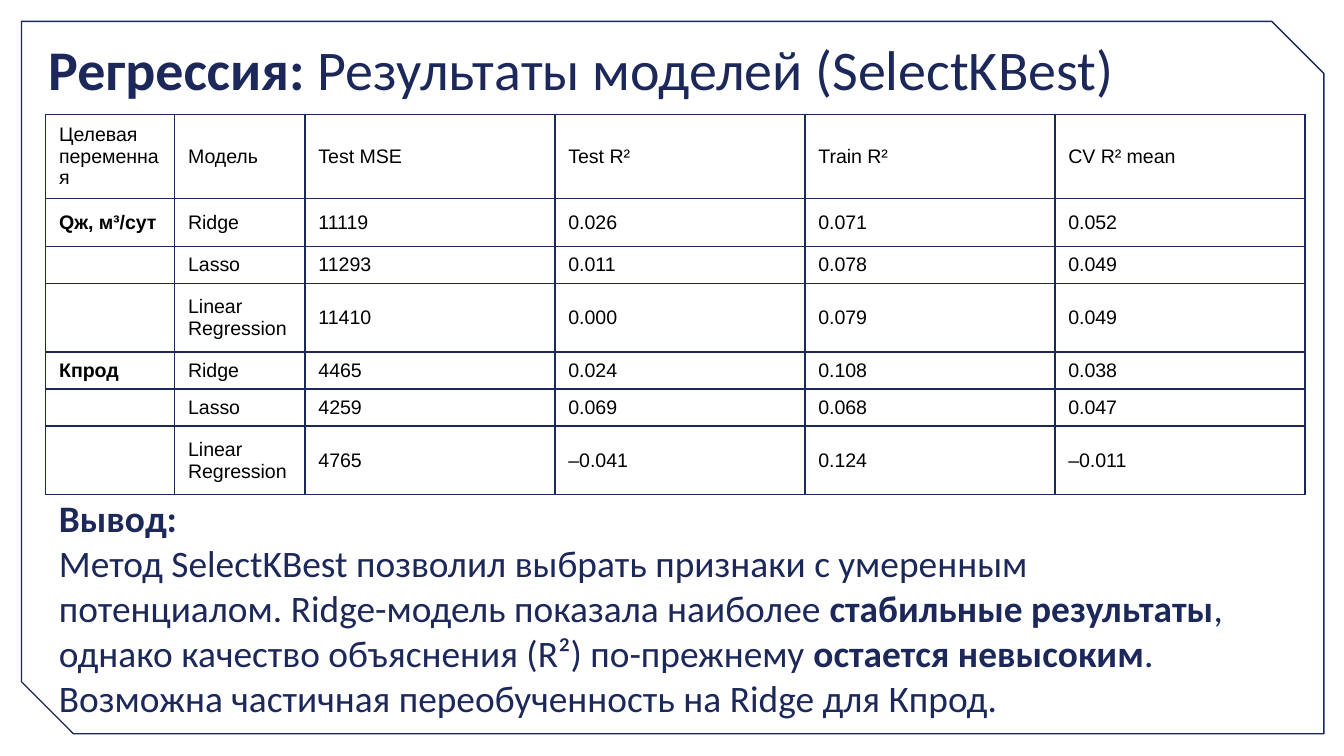
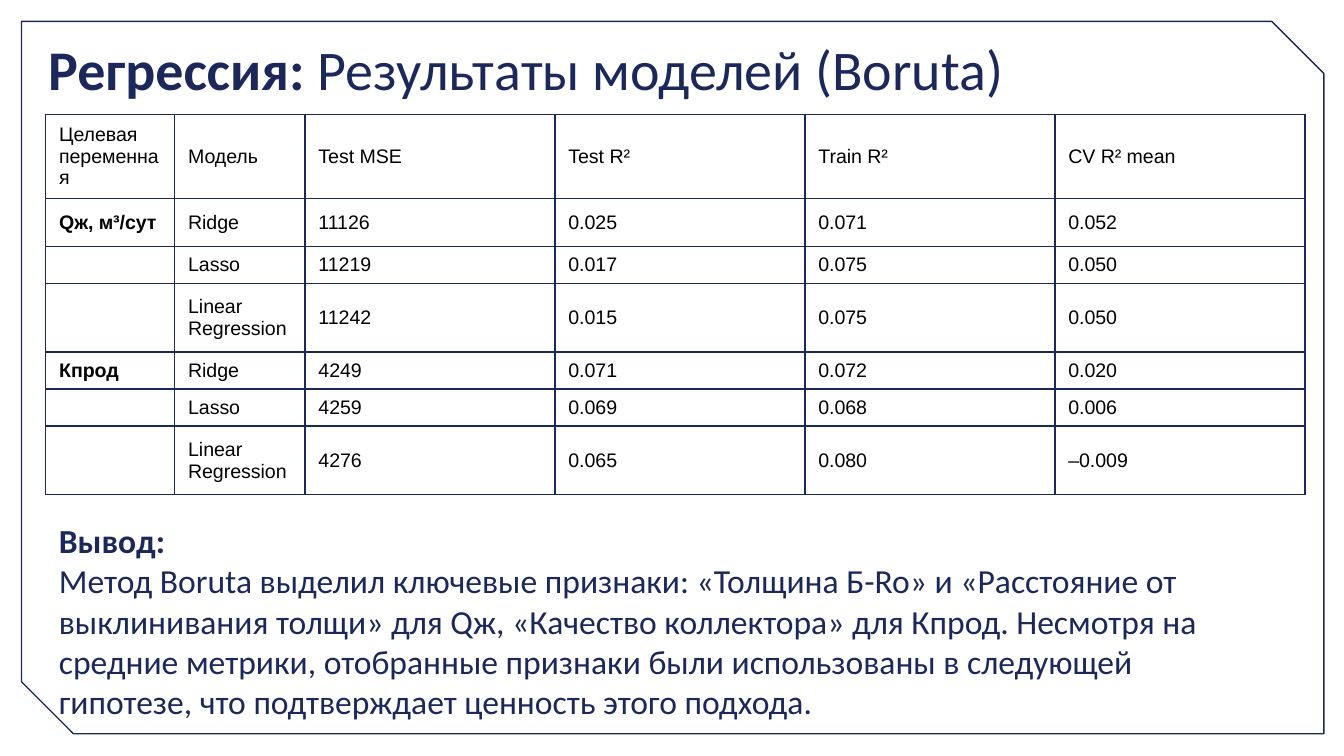
from lxml.etree import SubElement
from pptx import Presentation
from pptx.dml.color import RGBColor
from pptx.enum.shapes import MSO_SHAPE
from pptx.enum.text import MSO_ANCHOR
from pptx.oxml.ns import qn
from pptx.util import Inches, Pt

# Shared style
NAVY = RGBColor(0x1C, 0x28, 0x5A)
BLACK = RGBColor(0x00, 0x00, 0x00)
LINE_WIDTH = Pt(0.75)
CELL_FONT = "Arial"
CELL_SIZE = Pt(10.5)

# Shared table layout and labels
COLUMN_WIDTHS = [0.96, 0.97] + [1.86] * 4
ROW_HEIGHTS = [0.51, 0.36, 0.22, 0.51, 0.22, 0.22, 0.51]
HEADER = ["Целевая переменная", "Модель", "Test MSE", "Test R²", "Train R²", "CV R² mean"]
TARGETS = ["Qж, м³/сут", "Кпрод"]
MODELS = ["Ridge", "Lasso", "Linear Regression"]

# Metrics per slide: one row per target and model
KBEST_METRICS = [
    ["11119", "0.026", "0.071", "0.052"],
    ["11293", "0.011", "0.078", "0.049"],
    ["11410", "0.000", "0.079", "0.049"],
    ["4465", "0.024", "0.108", "0.038"],
    ["4259", "0.069", "0.068", "0.047"],
    ["4765", "–0.041", "0.124", "–0.011"],
]
BORUTA_METRICS = [
    ["11126", "0.025", "0.071", "0.052"],
    ["11219", "0.017", "0.075", "0.050"],
    ["11242", "0.015", "0.075", "0.050"],
    ["4249", "0.071", "0.072", "0.020"],
    ["4259", "0.069", "0.068", "0.006"],
    ["4276", "0.065", "0.080", "–0.009"],
]

# Conclusions: each line is a list of (text, bold) runs
KBEST_CONCLUSION = [
    [("Метод SelectKBest позволил выбрать признаки с умеренным", False)],
    [("потенциалом. Ridge-модель показала наиболее ", False),
     ("стабильные результаты", True), (",", False)],
    [("однако качество объяснения (R²) по-прежнему ", False),
     ("остается невысоким", True), (".", False)],
    [("Возможна частичная переобученность на Ridge для Кпрод.", False)],
]
BORUTA_CONCLUSION = [
    [("Метод Boruta выделил ключевые признаки: «Толщина Б-Ro» и «Расстояние от", False)],
    [("выклинивания толщи» для Qж, «Качество коллектора» для Кпрод. Несмотря на", False)],
    [("средние метрики, отобранные признаки были использованы в следующей", False)],
    [("гипотезе, что подтверждает ценность этого подхода.", False)],
]


def set_font(font, name, size, color):
    font.name, font.size = name, size
    font.color.rgb = color


def add_frame(slide):
    frame = slide.shapes.add_shape(MSO_SHAPE.SNIP_2_DIAG_RECTANGLE, Inches(0.16),
                                   Inches(0.16), Inches(9.69), Inches(5.3))
    frame.adjustments[0], frame.adjustments[1] = 0, 0.073
    frame.shadow.inherit = False
    frame.fill.background()
    frame.line.color.rgb = NAVY
    frame.line.width = LINE_WIDTH


def add_text(slide, left, top, width, height, lines, size, anchor, hanging=False):
    box = slide.shapes.add_textbox(Inches(left), Inches(top), Inches(width), Inches(height))
    frame = box.text_frame
    frame.word_wrap = True
    frame.vertical_anchor = anchor
    frame.margin_left = frame.margin_right = Inches(0.1)
    frame.margin_top = frame.margin_bottom = Inches(0.1)
    for index, runs in enumerate(lines):
        paragraph = frame.add_paragraph() if index else frame.paragraphs[0]
        set_font(paragraph.font, "Calibri", Pt(size), NAVY)
        if hanging:
            properties = paragraph._p.get_or_add_pPr()
            properties.set("marL", str(Inches(0.5)))
            properties.set("indent", str(Inches(-0.33)))
        for text, bold in runs:
            run = paragraph.add_run()
            run.text = text
            run.font.bold = bold


def add_borders(cell):
    properties = cell._tc.get_or_add_tcPr()
    for side in ("a:lnL", "a:lnR", "a:lnT", "a:lnB"):
        border = SubElement(properties, qn(side), w=str(LINE_WIDTH))
        fill = SubElement(border, qn("a:solidFill"))
        SubElement(fill, qn("a:srgbClr"), val=str(NAVY))


def fill_cell(cell, text, bold):
    add_borders(cell)
    cell.fill.background()
    cell.vertical_anchor = MSO_ANCHOR.MIDDLE
    paragraph = cell.text_frame.paragraphs[0]
    if text:
        # Row heights follow the font of the run itself
        run = paragraph.add_run()
        run.text = text
        set_font(run.font, CELL_FONT, CELL_SIZE, BLACK)
        run.font.bold = bold
    else:
        # An empty cell takes its line height from the end mark
        end_mark = SubElement(paragraph._p, qn("a:endParaRPr"),
                              sz=str(CELL_SIZE.centipoints))
        SubElement(end_mark, qn("a:latin"), typeface=CELL_FONT)


def add_metrics_table(slide, metrics):
    rows = [HEADER]
    for index, values in enumerate(metrics):
        group, model = divmod(index, len(MODELS))
        rows.append(["" if model else TARGETS[group], MODELS[model]] + values)

    table = slide.shapes.add_table(len(rows), len(HEADER), Inches(0.34), Inches(0.85),
                                   Inches(sum(COLUMN_WIDTHS)),
                                   Inches(sum(ROW_HEIGHTS))).table
    table.first_row = table.horz_banding = False
    for column, width in zip(table.columns, COLUMN_WIDTHS):
        column.width = Inches(width)
    for row_index, (row, height) in enumerate(zip(table.rows, ROW_HEIGHTS)):
        row.height = Inches(height)
        for column_index, text in enumerate(rows[row_index]):
            fill_cell(row.cells[column_index], text,
                      bold=row_index > 0 and column_index == 0)


def add_results_slide(deck, method, metrics, conclusion, conclusion_top, conclusion_size):
    slide = deck.slides.add_slide(deck.slide_layouts[6])
    add_frame(slide)
    title = [("Регрессия: ", True), (f"Результаты моделей ({method})", False)]
    add_text(slide, 0.26, 0.16, 9.03, 0.63, [title], 30, MSO_ANCHOR.TOP)
    add_metrics_table(slide, metrics)
    add_text(slide, 0.17, conclusion_top, 9.83, 0.5, [[("Вывод:", True)]] + conclusion,
             conclusion_size, MSO_ANCHOR.MIDDLE, hanging=True)


def main():
    deck = Presentation()
    deck.slide_width = Inches(10)
    deck.slide_height = deck.slide_width * 9 // 16
    add_results_slide(deck, "SelectKBest", KBEST_METRICS, KBEST_CONCLUSION, 4.27, 20)
    add_results_slide(deck, "Boruta", BORUTA_METRICS, BORUTA_CONCLUSION, 4.37, 18)
    deck.save("out.pptx")


if __name__ == "__main__":
    main()
